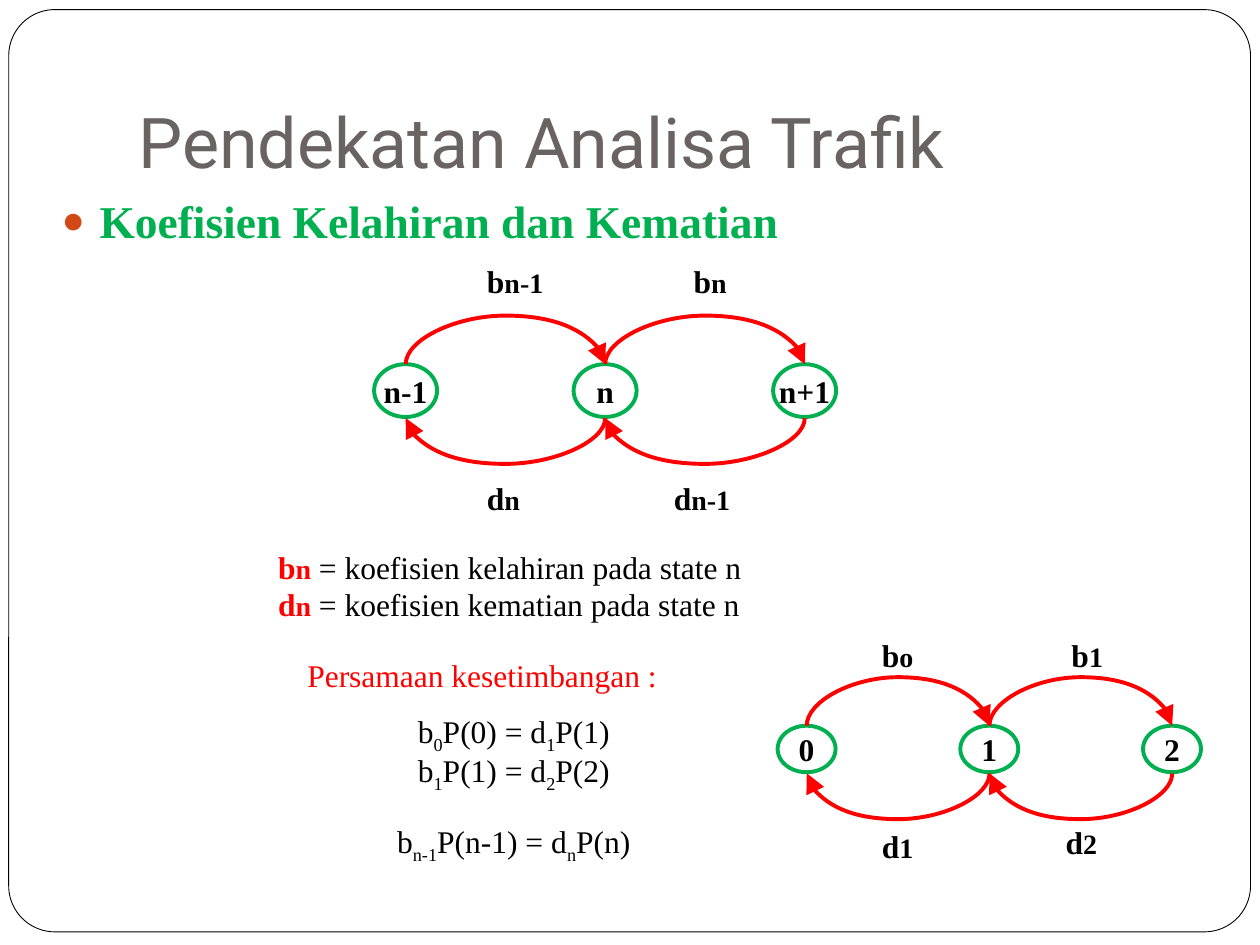
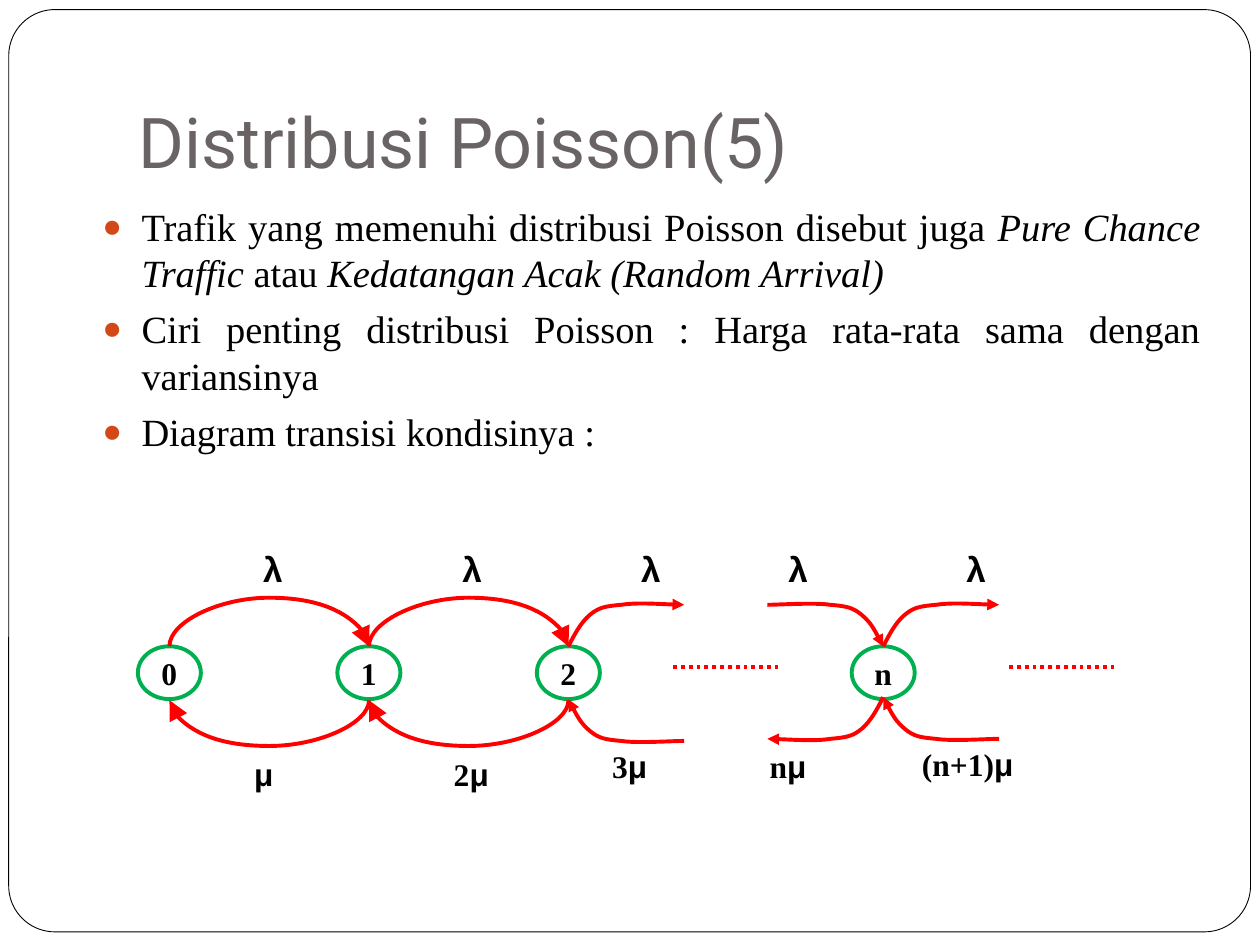
"""Build two slides on traffic analysis with state transition diagrams."""
import dataclasses
import typing

import lxml.etree
import pptx
import pptx.dml.color
import pptx.enum.dml
import pptx.enum.shapes
import pptx.enum.text
import pptx.oxml.ns
import pptx.util

Pt = pptx.util.Pt
ALIGN = pptx.enum.text.PP_ALIGN
ANCHOR = pptx.enum.text.MSO_ANCHOR
SHAPE = pptx.enum.shapes.MSO_SHAPE
CONNECTOR = pptx.enum.shapes.MSO_CONNECTOR


@dataclasses.dataclass(frozen=True)
class Theme:
    paper: str = "FFFFFF"
    ink: str = "000000"
    title: str = "6A6363"
    bullet: str = "D34817"
    green: str = "00B050"
    red: str = "FF0000"
    title_font: str = "Roboto"
    body_font: str = "Times New Roman"
    symbol_font: str = "Arial"
    title_size: float = 40
    heading_size: float = 26
    body_size: float = 22
    greek_size: float = 20
    text_size: float = 18
    index_size: float = 16
    stroke: float = 2.25


THEME = Theme()


class Box(typing.NamedTuple):
    left: float
    top: float
    width: float
    height: float


@dataclasses.dataclass(frozen=True)
class Run:
    text: str
    size: float | None = None
    color: str | None = None
    font: str | None = None
    bold: bool | None = None
    italic: bool | None = None
    subscript: bool = False


@dataclasses.dataclass(frozen=True)
class Para:
    runs: tuple[Run, ...]
    size: float = THEME.text_size
    color: str = THEME.ink
    font: str = THEME.body_font
    bold: bool = False
    align: ALIGN = ALIGN.LEFT
    before: float = 0
    spacing: float | None = None
    margin: float = 0
    hanging: float = 0


@dataclasses.dataclass(frozen=True)
class Chain:
    left: float
    top: float
    pitch: float
    node_width: float
    node_height: float
    states: tuple[str, ...]
    rise: float = 29.3
    drop: float = 27.7


class Label(typing.NamedTuple):
    box: Box
    para: Para


class Hook(typing.NamedTuple):
    x: float
    y: float
    x_sign: int
    y_sign: int
    end: str


HOOK_POINTS = ((3.6, 7.2), (7.2, 13.7), (12.2, 18), (17.3, 22.3), (20.9, 23),
               (30.2, 23.8), (38.9, 25.2), (59.8, 23.8), (66.2, 23.8))


def rgb(value: str) -> pptx.dml.color.RGBColor:
    """Turn a hex string into a colour."""
    return pptx.dml.color.RGBColor.from_string(value)


def add_xml(parent: typing.Any, tag: str, **attributes: str) -> typing.Any:
    """Append a drawing element to its parent and return it."""
    return lxml.etree.SubElement(parent, pptx.oxml.ns.qn(tag), attributes)


def set_font(font: typing.Any, style: Run | Para) -> None:
    """Apply the settings that a style defines."""
    if style.size:
        font.size = Pt(style.size)
    if style.font:
        font.name = style.font
    if style.color:
        font.color.rgb = rgb(style.color)
    if style.bold is not None:
        font.bold = style.bold


def write(frame: typing.Any, paras: typing.Sequence[Para]) -> None:
    """Fill a text frame with paragraphs."""
    for number, para in enumerate(paras):
        line = frame.add_paragraph() if number else frame.paragraphs[0]
        line.alignment = para.align
        line.space_before = Pt(para.before)
        if para.spacing:
            line.line_spacing = para.spacing
        props = line._p.get_or_add_pPr()
        props.set("marL", str(Pt(para.margin)))
        props.set("indent", str(-Pt(para.hanging)))
        if para.hanging:
            add_xml(add_xml(props, "a:buClr"), "a:srgbClr", val=THEME.bullet)
            add_xml(props, "a:buSzPct", val="85000")
            add_xml(props, "a:buFont", typeface=THEME.symbol_font)
            add_xml(props, "a:buChar", char="●")
        set_font(line.font, para)
        for run in para.runs:
            piece = line.add_run()
            piece.text = run.text
            set_font(piece.font, run)
            if run.italic:
                piece.font.italic = True
            if run.subscript:
                piece.font._element.set("baseline", "-25000")


def add_text(slide: typing.Any, box: Box, *paras: Para, wrap: bool = True) -> typing.Any:
    """Add a text box and return its frame."""
    frame = slide.shapes.add_textbox(*map(Pt, box)).text_frame
    frame.word_wrap = wrap
    write(frame, paras)
    return frame


def add_labels(slide: typing.Any, labels: typing.Iterable[Label]) -> None:
    """Add the unwrapped labels of a diagram."""
    for label in labels:
        add_text(slide, label.box, label.para, wrap=False)


def start_slide(deck: typing.Any, title: str) -> typing.Any:
    """Add a blank slide with the frame and title."""
    slide = deck.slides.add_slide(deck.slide_layouts[6])
    border = slide.shapes.add_shape(SHAPE.ROUNDED_RECTANGLE, *map(Pt, Box(5, 5.5, 709.6, 527)))
    border.adjustments[0] = 0.05
    border.shadow.inherit = False
    border.fill.solid()
    border.fill.fore_color.rgb = rgb(THEME.paper)
    border.line.color.rgb = rgb(THEME.ink)
    border.line.width = Pt(0.5)
    frame = add_text(slide, Box(72, 21.6, 612, 90),
                     Para((Run(title),), THEME.title_size, THEME.title, THEME.title_font))
    frame.vertical_anchor = ANCHOR.BOTTOM
    frame.margin_bottom = Pt(7.2)
    return slide


def stroke_red(shape: typing.Any, end: str = "", head: str = "med") -> None:
    """Give a line its red stroke and optional arrowhead."""
    shape.line.color.rgb = rgb(THEME.red)
    shape.line.width = Pt(THEME.stroke)
    if end:
        outline = shape._element.spPr.find(pptx.oxml.ns.qn("a:ln"))
        add_xml(outline, f"a:{end}End", type="triangle", w=head, len=head)


def add_connector(slide: typing.Any, kind: CONNECTOR, *ends: float) -> typing.Any:
    """Add a connector without a shadow."""
    connector = slide.shapes.add_connector(kind, *map(Pt, ends))
    add_xml(connector._element.spPr, "a:effectLst")
    return connector


def add_arc(slide: typing.Any, x: float, y: float, span: float, bulge: float) -> None:
    """Add a curved arrow, upward to the right or downward to the left."""
    thin, middle, half = 0.12, x + span / 2, span / 2
    upward = bulge < 0
    ends = (middle, y + half, middle + thin, y - half)
    if not upward:
        ends = (middle + thin, y - half, middle, y + half)
    arc = add_connector(slide, CONNECTOR.CURVE, *ends)
    props = arc._element.spPr
    props.find(pptx.oxml.ns.qn("a:xfrm")).set("rot", "5400000" if upward else "16200000")
    guides = props.find(".//" + pptx.oxml.ns.qn("a:avLst"))
    add_xml(guides, "a:gd", name="adj1", fmla=f"val {round(bulge / thin * 100000)}")
    stroke_red(arc, "tail" if upward else "head", "lg")


def add_chain(slide: typing.Any, chain: Chain) -> None:
    """Add a row of states joined by birth and death arrows."""
    for number, state in enumerate(chain.states):
        left = chain.left + number * chain.pitch
        node = slide.shapes.add_shape(
            SHAPE.OVAL, *map(Pt, Box(left, chain.top, chain.node_width, chain.node_height)))
        node.shadow.inherit = False
        node.fill.background()
        node.line.color.rgb = rgb(THEME.green)
        node.line.width = Pt(THEME.stroke)
        node.text_frame.word_wrap = False
        node.text_frame.vertical_anchor = ANCHOR.MIDDLE
        write(node.text_frame, [Para((Run(state),), bold=True, align=ALIGN.CENTER)])
        if number:
            start = left - chain.pitch + chain.node_width / 2
            add_arc(slide, start, chain.top, chain.pitch, -chain.rise)
            add_arc(slide, start, chain.top + chain.node_height + 0.7, chain.pitch, chain.drop)


def add_hook(slide: typing.Any, hook: Hook) -> None:
    """Add a bent arrow that leads to or from states not drawn."""
    builder = slide.shapes.build_freeform(Pt(hook.x), Pt(hook.y))
    builder.add_line_segments([(Pt(hook.x + hook.x_sign * x), Pt(hook.y + hook.y_sign * y))
                               for x, y in HOOK_POINTS], close=False)
    curve = builder.convert_to_shape()
    segments = list(curve._element.iter(pptx.oxml.ns.qn("a:lnTo")))
    outline = segments[0].getparent()
    for first in range(0, len(segments), 3):
        bend = add_xml(outline, "a:cubicBezTo")
        for segment in segments[first:first + 3]:
            bend.append(segment[0])
            outline.remove(segment)
    curve.shadow.inherit = False
    curve.fill.background()
    stroke_red(curve, hook.end)


def coefficient(left: float, top: float, letter: str, index: str) -> Label:
    """Describe a coefficient label with a smaller index."""
    runs = (Run(letter, THEME.text_size), Run(index, THEME.index_size))
    return Label(Box(left, top, 35 if len(index) == 1 else 49.7, 28.8), Para(runs, bold=True))


def rate(left: float, top: float, width: float, factor: str) -> Label:
    """Describe a death rate label."""
    runs = (Run(factor),) if factor else ()
    return Label(Box(left, top, width, 28.8),
                 Para((*runs, Run("μ", font=THEME.symbol_font)), bold=True))


def definition(letter: str, meaning: str) -> Para:
    """Describe the meaning of a coefficient."""
    return Para((Run(letter, color=THEME.red, bold=True),
                 Run("n", THEME.index_size, THEME.red, bold=True),
                 Run(f" = koefisien {meaning} pada state n")))


def equation(state: str, following: str, before: float = 0) -> Para:
    """Describe the balance between two neighbouring states."""
    runs = (Run("b"), Run(state, subscript=True), Run(f"P({state}) = d"),
            Run(following, subscript=True), Run(f"P({following})"))
    return Para(runs, align=ALIGN.CENTER, before=before, spacing=0.9, margin=36)


def build_birth_death(deck: typing.Any) -> None:
    """Build the slide on birth and death coefficients."""
    slide = start_slide(deck, "Pendekatan Analisa Trafik")
    add_text(slide, Box(28.2, 106.6, 648, 388),
             Para((Run("Koefisien Kelahiran dan Kematian"),), THEME.heading_size, THEME.green,
                  bold=True, before=5.8, margin=21.6, hanging=21.6))
    add_text(slide, Box(151.8, 309.4, 456, 51),
             definition("b", "kelahiran"), definition("d", "kematian"))
    add_text(slide, Box(123.6, 371.5, 304, 158),
             Para((Run("Persamaan kesetimbangan :"),), color=THEME.red, align=ALIGN.CENTER),
             equation("0", "1", 10.6), equation("1", "2"), equation("n-1", "n", 18.9))
    add_chain(slide, Chain(213.8, 208.1, 114, 36, 30.2, ("n-1", "n", "n+1")))
    add_chain(slide, Chain(444.4, 414.7, 104.4, 33.1, 26.6, ("0", "1", "2")))
    add_labels(slide, [coefficient(*item) for item in (
        (271.2, 146.2, "b", "n-1"), (389.3, 146.2, "b", "n"),
        (271.2, 270, "d", "n"), (378, 270, "d", "n-1"),
        (496.8, 360, "b", "o"), (605.2, 360, "b", "1"),
        (496.8, 469.1, "d", "1"), (601.8, 466.6, "d", "2"))])


def build_poisson(deck: typing.Any) -> None:
    """Build the slide on the Poisson distribution."""
    slide = start_slide(deck, "Distribusi Poisson(5)")
    points = (
        (Run("Trafik yang memenuhi distribusi Poisson disebut juga "),
         Run("Pure Chance Traffic ", italic=True), Run("atau "),
         Run("Kedatangan Acak (Random Arrival)", italic=True)),
        (Run("Ciri penting distribusi Poisson : Harga rata-rata sama dengan variansinya"),),
        (Run("Diagram transisi kondisinya :"),))
    add_text(slide, Box(45, 112.4, 648, 155.5), *(
        Para(runs, THEME.body_size, align=ALIGN.JUSTIFY, before=5.8, margin=28.8, hanging=22.3)
        for runs in points))
    counted = Chain(78.8, 369.3, 114, 36, 30.2, ("0", "1", "2"))
    add_chain(slide, counted)
    add_chain(slide, dataclasses.replace(counted, left=486.7, states=("n",)))
    for hook in (Hook(324.8, 369.4, 1, -1, "tail"), Hook(324.8, 399.6, 1, 1, "head"),
                 Hook(504.7, 369.4, -1, -1, "head"), Hook(504.7, 398.4, -1, 1, "tail"),
                 Hook(504.7, 369.4, 1, -1, "tail"), Hook(504.7, 398.4, 1, 1, "head")):
        add_hook(slide, hook)
    for left in (384.6, 576.6):
        dots = add_connector(slide, CONNECTOR.STRAIGHT, left, 381.3, left + 60, 381.3)
        stroke_red(dots)
        dots.line.dash_style = pptx.enum.dml.MSO_LINE.ROUND_DOT
    arrival = Para((Run("λ"),), THEME.greek_size, font=THEME.symbol_font, bold=True)
    add_labels(slide, [Label(Box(left, 309.6, 25.9, 31.7), arrival)
                       for left in (143.3, 257.2, 359.3, 443.5, 545.2)])
    add_labels(slide, [rate(*item) for item in (
        (138.2, 428, 25.2, ""), (252.2, 428, 35.3, "2"), (342.7, 423.4, 35.3, "3"),
        (432.7, 423.4, 36, "n"), (519.8, 422, 69, "(n+1)"))])


def main() -> None:
    """Build and save the deck."""
    deck = pptx.Presentation()
    deck.slide_width, deck.slide_height = Pt(720), Pt(540)
    build_birth_death(deck)
    build_poisson(deck)
    deck.save("out.pptx")


if __name__ == "__main__":
    main()
